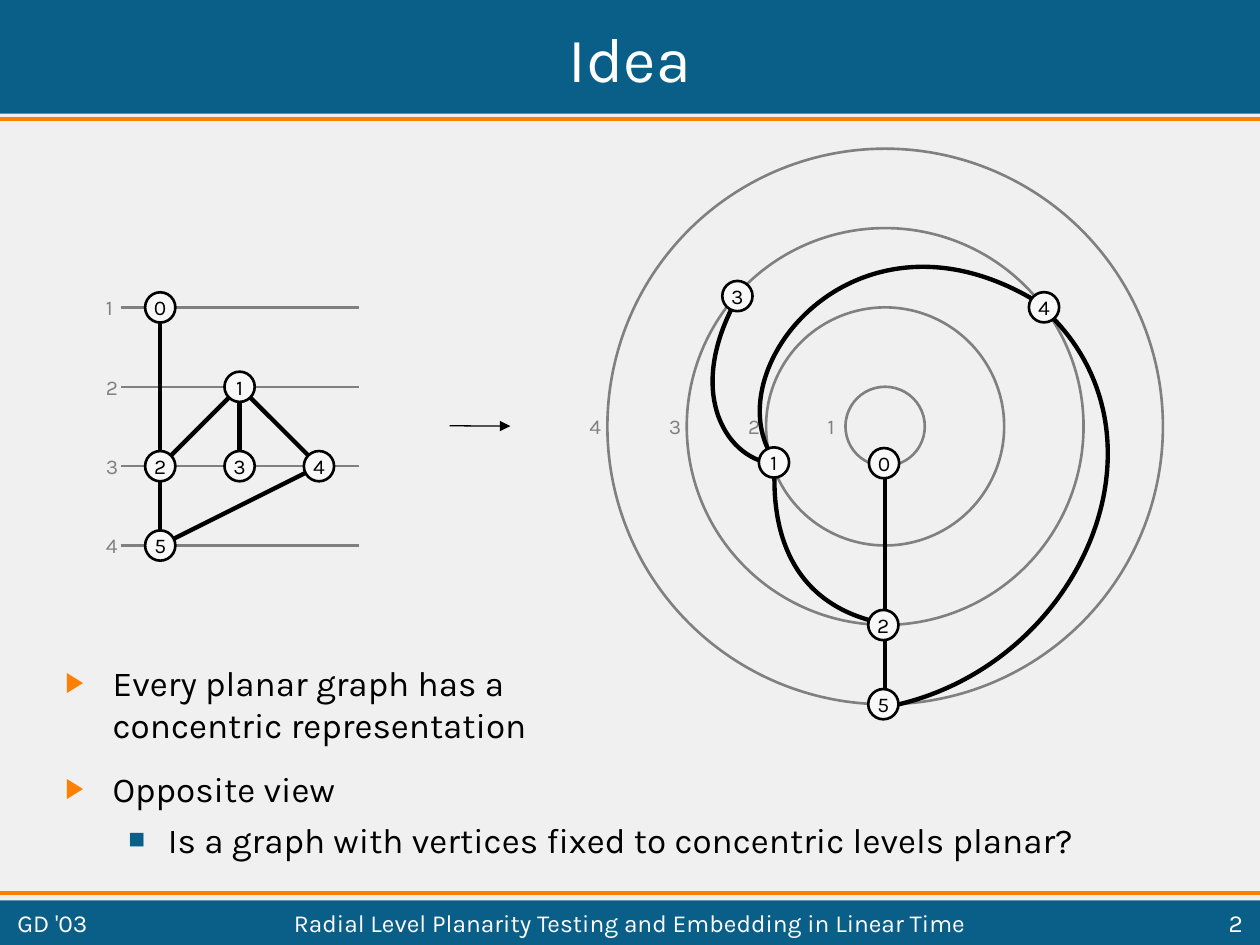
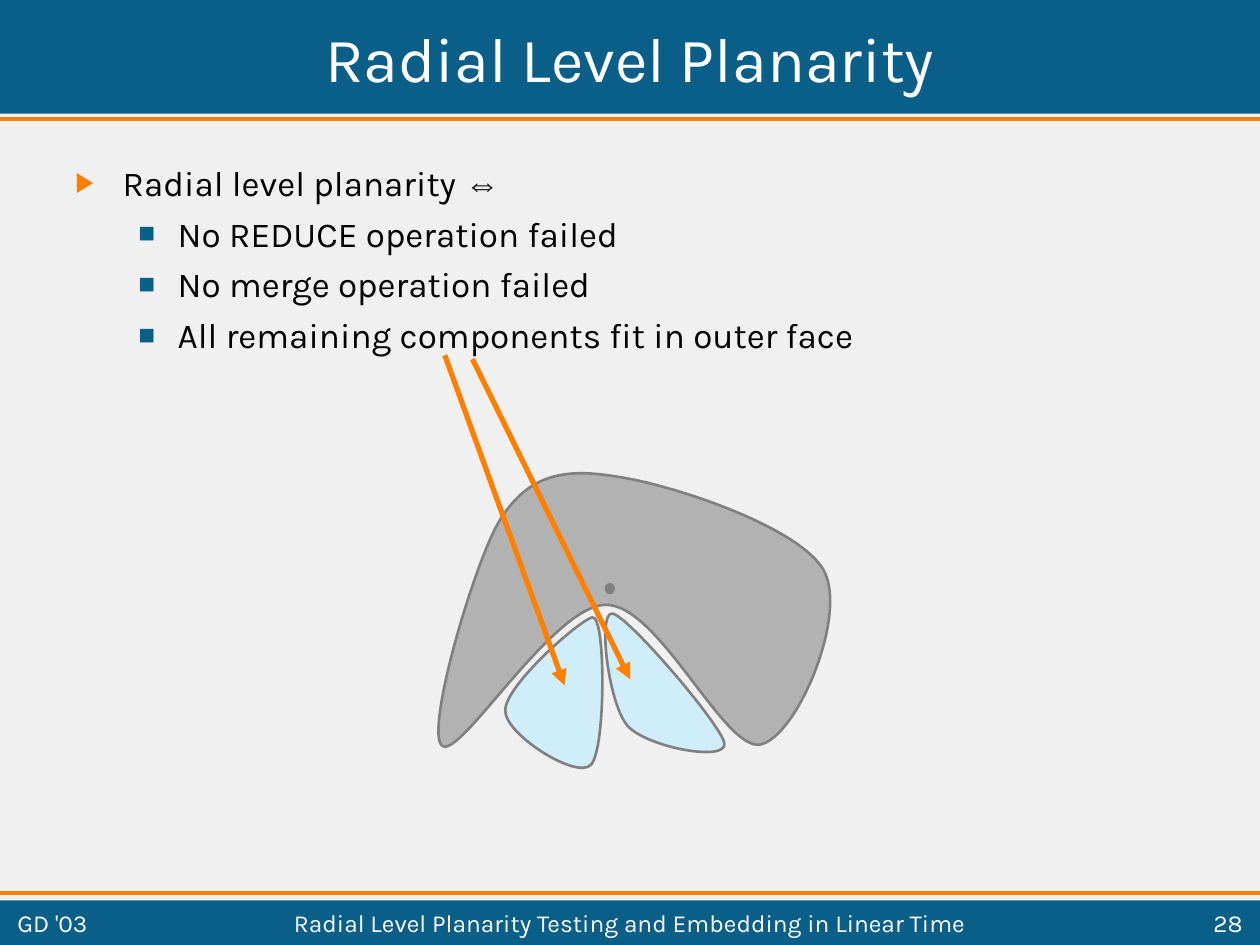
from dataclasses import dataclass

from lxml.etree import SubElement
from pptx import Presentation
from pptx.dml.color import RGBColor
from pptx.enum.shapes import MSO_CONNECTOR as Connector, MSO_SHAPE as Preset
from pptx.enum.text import MSO_ANCHOR as Anchor, PP_ALIGN as Align
from pptx.oxml.ns import qn
from pptx.util import Pt


@dataclass(frozen=True)
class Theme:
    font: str = "Karla"
    symbol_font: str = "Arial"
    background: str = "F0F0F0"
    band: str = "0A5F89"
    accent: str = "FF7F00"
    light: str = "FFFFFF"
    ink: str = "000000"
    gray: str = "808080"
    node: str = "F8F8F8"
    face: str = "B2B2B2"
    component: str = "D0EDFC"
    title_size: int = 36
    body_size: int = 20
    footer_size: int = 14
    label_size: int = 12
    bullet_percent: int = 80
    outline: float = 1.5
    edge: float = 2.5


THEME = Theme()
WIDTH, HEIGHT = 720, 540
EVENT = "GD '03"
TALK = "Radial Level Planarity Testing and Embedding in Linear Time"

IDEA_BULLETS = [
    (0, ["Every planar graph has a\nconcentric representation"]),
    (0, ["Opposite view"]),
    (1, ["Is a graph with vertices fixed to concentric levels planar?"]),
]
RADIAL_BULLETS = [
    (0, ["Radial level planarity ", ("⇔", THEME.symbol_font)]),
    (1, ["No REDUCE operation failed"]),
    (1, ["No merge operation failed"]),
    (1, ["All remaining components fit in outer face"]),
]
BULLET_STYLES = [
    dict(mark="▶", color=THEME.accent, margin=27, hanging=27, before=12.5),
    dict(mark="■", color=THEME.band, margin=58.5, hanging=22.5, before=5),
]

LEVEL_COUNT = 4
LEVEL_GAP = 45.35
LEVEL_LEFT, LEVEL_RIGHT, LEVEL_TOP = 69, 205.2, 175.7
FIRST_COLUMN = 91.6
CENTER = (505.8, 243.7)
NODE_SIZE = 17.3
LABEL_WIDTH, LABEL_HEIGHT = 20.9, 21.6

LEVEL_NODES = {"0": (0, 0), "1": (1, 1), "2": (0, 2), "3": (1, 2), "4": (2, 2), "5": (0, 3)}
LEVEL_EDGES = ["05", "12", "13", "14", "45"]
RADIAL_NODES = {
    "0": (505.2, 264.7), "1": (442.3, 264.3), "2": (504.8, 357.2),
    "3": (421.4, 169.2), "4": (596.6, 175.6), "5": (504.8, 402.4),
}
RADIAL_SPINE = ((505.6, 264.3), (505.6, 403.3))
RADIAL_CURVES = [
    [(595.4, 175.7), (676.8, 248.4), (617, 385.2), (503.3, 404.6)],
    [(442.8, 265), (439.9, 314.6), (460.1, 347.8), (505.4, 356.4)],
    [(421.9, 169.2), (389.5, 226.1), (416.9, 264.2), (443.5, 265)],
    [(595.4, 174.2), (488.9, 106.6), (405.4, 213.8), (443.5, 264.2)],
]
MAPPING_ARROW = ((257, 243.3), (291.6, 243.5))

LEFT_COMPONENT = [
    (338.4, 352.8), (346.3, 350.6), (346.3, 428.4), (337.7, 437),
    (329.8, 445.7), (288.7, 419.8), (288.7, 406.1),
    (288.7, 391.7), (330.5, 355), (338.4, 352.8),
]
RIGHT_COMPONENT = [
    (349.9, 350.6), (358.6, 351.4), (412.6, 414.7), (414, 424.8),
    (415.4, 435.6), (369.4, 427), (358.6, 414.7),
    (347.8, 402.5), (341.3, 349.9), (349.9, 350.6),
]
OUTER_COMPONENT = [
    (285.1, 298.1), (301, 272.2), (320.4, 267.1), (351.4, 272.2),
    (383, 276.5), (457.2, 301), (470.9, 326.2),
    (484.6, 352.1), (455, 421.9), (434.2, 425.5),
    (413.3, 428.4), (376.6, 345.6), (346.3, 345.6),
    (316.1, 345.6), (262.8, 434.2), (252.7, 426.2),
    (242.6, 418.3), (270.7, 322.6), (285.1, 298.1),
]
BLOBS = [
    (LEFT_COMPONENT, THEME.component),
    (RIGHT_COMPONENT, THEME.component),
    (OUTER_COMPONENT, THEME.face),
]
ROOT_DOT = (346.3, 333.9, 4.3, 5)
COMPONENT_ARROWS = [((254.2, 203), (322.6, 391.7)), ((270, 205.2), (360, 388.1))]


def color(value):
    return RGBColor.from_string(value)


def paint(shape, fill=None, line=None, width=THEME.outline):
    shape.shadow.inherit = False
    if fill:
        shape.fill.solid()
        shape.fill.fore_color.rgb = color(fill)
    else:
        shape.fill.background()
    if line:
        shape.line.color.rgb = color(line)
        shape.line.width = Pt(width)
    else:
        shape.line.fill.background()
    return shape


def add_preset(slide, preset, box, **style):
    return paint(slide.shapes.add_shape(preset, *map(Pt, box)), **style)


def add_line(slide, start, end, line, width, arrow=False):
    connector = slide.shapes.add_connector(Connector.STRAIGHT, *map(Pt, (*start, *end)))
    connector.line.color.rgb = color(line)
    connector.line.width = Pt(width)
    properties = connector.element.spPr
    if arrow:
        SubElement(properties.find(qn("a:ln")), qn("a:tailEnd"), type="triangle")
    SubElement(properties, qn("a:effectLst"))


def add_curve(slide, points, closed=False, **style):
    builder = slide.shapes.build_freeform(*map(Pt, points[0]))
    builder.add_line_segments([tuple(map(Pt, point)) for point in points[1:]], close=closed)
    shape = paint(builder.convert_to_shape(), **style)
    segments = list(shape.element.iter(qn("a:lnTo")))
    for first in range(0, len(points) - 1, 3):
        start, *others = segments[first:first + 3]
        start.tag = qn("a:cubicBezTo")
        for segment in others:
            start.append(segment[0])
            segment.getparent().remove(segment)


def write(paragraph, text, size, ink=THEME.ink, font=THEME.font, align=Align.LEFT):
    paragraph.alignment = align
    for index, part in enumerate(text.split("\n")):
        if index:
            paragraph.add_line_break()
        run = paragraph.add_run()
        run.text = part
        run.font.size = Pt(size)
        run.font.name = font
        run.font.color.rgb = color(ink)


def prepare_frame(shape, anchor=Anchor.MIDDLE, inset=(7.2, 3.6)):
    frame = shape.text_frame
    frame.word_wrap = True
    frame.vertical_anchor = anchor
    frame.margin_left = frame.margin_right = Pt(inset[0])
    frame.margin_top = frame.margin_bottom = Pt(inset[1])
    return frame


def add_text(slide, box, text, wrap=True, **style):
    frame = prepare_frame(slide.shapes.add_textbox(*map(Pt, box)))
    frame.word_wrap = wrap
    write(frame.paragraphs[0], text, **style)


def add_bullets(slide, box, items):
    frame = prepare_frame(slide.shapes.add_textbox(*map(Pt, box)), Anchor.TOP)
    for index, (level, parts) in enumerate(items):
        style = BULLET_STYLES[level]
        paragraph = frame.add_paragraph() if index else frame.paragraphs[0]
        paragraph.level = level
        paragraph.space_before = Pt(style["before"] if index else 0)
        properties = paragraph._p.get_or_add_pPr()
        properties.set("marL", str(Pt(style["margin"])))
        properties.set("indent", str(-Pt(style["hanging"])))
        bullet_color = SubElement(properties, qn("a:buClr"))
        SubElement(bullet_color, qn("a:srgbClr"), val=style["color"])
        SubElement(properties, qn("a:buSzPct"), val=str(THEME.bullet_percent * 1000))
        SubElement(properties, qn("a:buFont"), typeface=THEME.symbol_font)
        SubElement(properties, qn("a:buChar"), char=style["mark"])
        for part in parts:
            text, font = (part, THEME.font) if isinstance(part, str) else part
            write(paragraph, text, size=THEME.body_size, font=font)


def add_level_label(slide, left, middle, text):
    box = (left, middle - LABEL_HEIGHT / 2, LABEL_WIDTH, LABEL_HEIGHT)
    add_text(slide, box, text, wrap=False, size=THEME.label_size, ink=THEME.gray)


def add_nodes(slide, nodes):
    for name, (x, y) in nodes.items():
        box = (x - NODE_SIZE / 2, y - NODE_SIZE / 2, NODE_SIZE, NODE_SIZE)
        node = add_preset(slide, Preset.OVAL, box, fill=THEME.node, line=THEME.ink)
        write(prepare_frame(node, inset=(0, 0)).paragraphs[0], name,
              size=THEME.label_size, align=Align.CENTER)


def add_base_slide(presentation, title, number):
    slide = presentation.slides.add_slide(presentation.slide_layouts[6])
    slide.background.fill.solid()
    slide.background.fill.fore_color.rgb = color(THEME.background)
    for top, height in ((0, 65), (514.5, 25.5)):
        add_preset(slide, Preset.RECTANGLE, (0, top, WIDTH, height), fill=THEME.band)
    for y in (67.8, 510.5):
        add_line(slide, (0, y), (WIDTH, y), THEME.accent, 2.25)
    add_text(slide, (2.9, 2.7, 714.2, 59.6), title, size=THEME.title_size,
             ink=THEME.light, align=Align.CENTER)
    for left, width, text, align in (
        (2.8, 85, EVENT, Align.LEFT),
        (93.6, 532.8, TALK, Align.CENTER),
        (632.2, 85, str(number), Align.RIGHT),
    ):
        add_text(slide, (left, 517.3, width, 20), text, size=THEME.footer_size,
                 ink=THEME.light, align=align)
    return slide


def draw_level_graph(slide):
    for level in range(LEVEL_COUNT):
        y = LEVEL_TOP + level * LEVEL_GAP
        add_line(slide, (LEVEL_LEFT, y), (LEVEL_RIGHT, y), THEME.gray, THEME.outline)
        add_level_label(slide, 53.4, y, str(level + 1))
    nodes = {
        name: (FIRST_COLUMN + column * LEVEL_GAP, LEVEL_TOP + level * LEVEL_GAP)
        for name, (column, level) in LEVEL_NODES.items()
    }
    for start, end in LEVEL_EDGES:
        add_line(slide, nodes[start], nodes[end], THEME.ink, THEME.edge)
    add_nodes(slide, nodes)


def draw_radial_graph(slide):
    x, y = CENTER
    for level in range(LEVEL_COUNT):
        radius = (level + 0.5) * LEVEL_GAP
        box = (x - radius, y - radius, 2 * radius, 2 * radius)
        add_preset(slide, Preset.OVAL, box, line=THEME.gray)
        add_level_label(slide, 465.8 - level * LEVEL_GAP, y, str(level + 1))
    add_line(slide, *RADIAL_SPINE, THEME.ink, THEME.edge)
    for points in RADIAL_CURVES:
        add_curve(slide, points, line=THEME.ink, width=THEME.edge)
    add_nodes(slide, RADIAL_NODES)


def build_idea(presentation):
    slide = add_base_slide(presentation, "Idea", 2)
    add_line(slide, *MAPPING_ARROW, THEME.ink, 0.75, arrow=True)
    draw_level_graph(slide)
    draw_radial_graph(slide)
    add_bullets(slide, (30.3, 374.4, 656, 121), IDEA_BULLETS)


def build_radial_planarity(presentation):
    slide = add_base_slide(presentation, "Radial Level Planarity", 28)
    add_bullets(slide, (36, 88.6, 648, 408), RADIAL_BULLETS)
    for points, fill in BLOBS:
        add_curve(slide, points, closed=True, fill=fill, line=THEME.gray)
    add_preset(slide, Preset.OVAL, ROOT_DOT, fill=THEME.gray, line=THEME.gray)
    for start, end in COMPONENT_ARROWS:
        add_line(slide, start, end, THEME.accent, 3, arrow=True)


def main():
    presentation = Presentation()
    presentation.slide_width, presentation.slide_height = Pt(WIDTH), Pt(HEIGHT)
    build_idea(presentation)
    build_radial_planarity(presentation)
    presentation.save("out.pptx")


if __name__ == "__main__":
    main()
